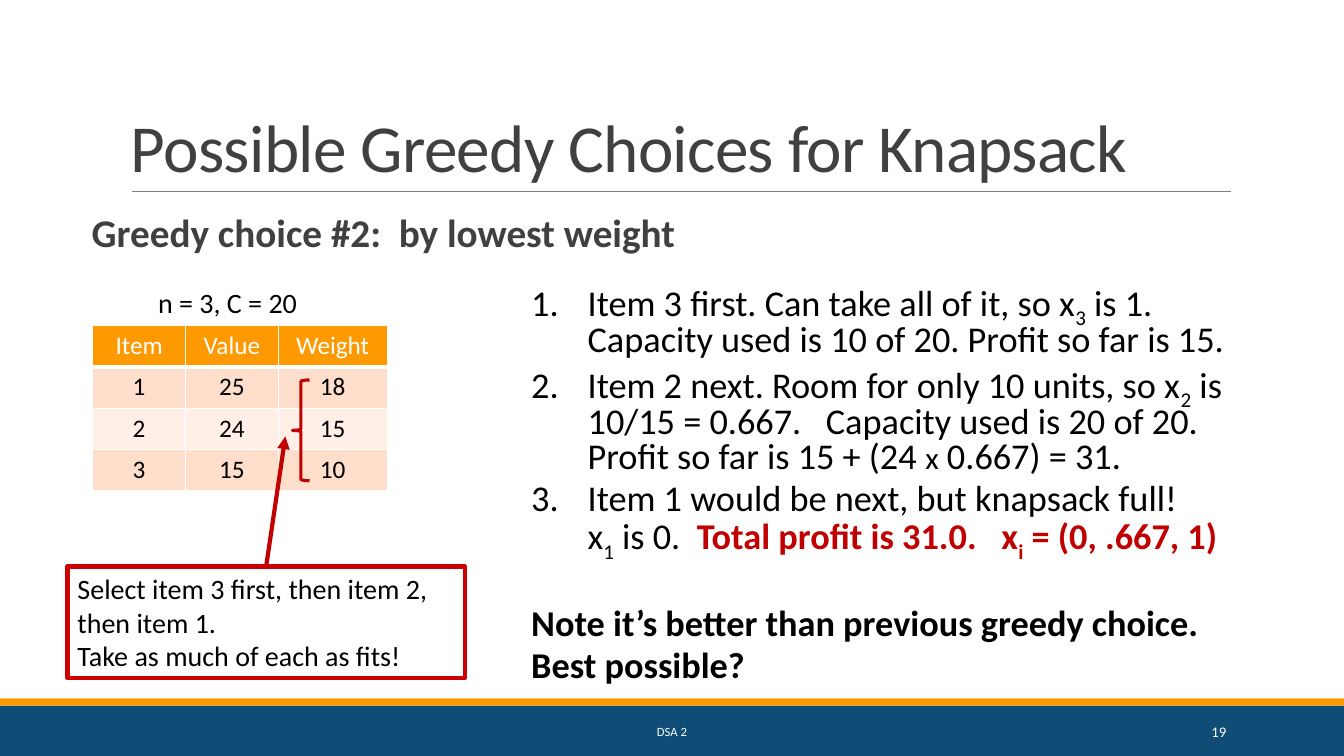
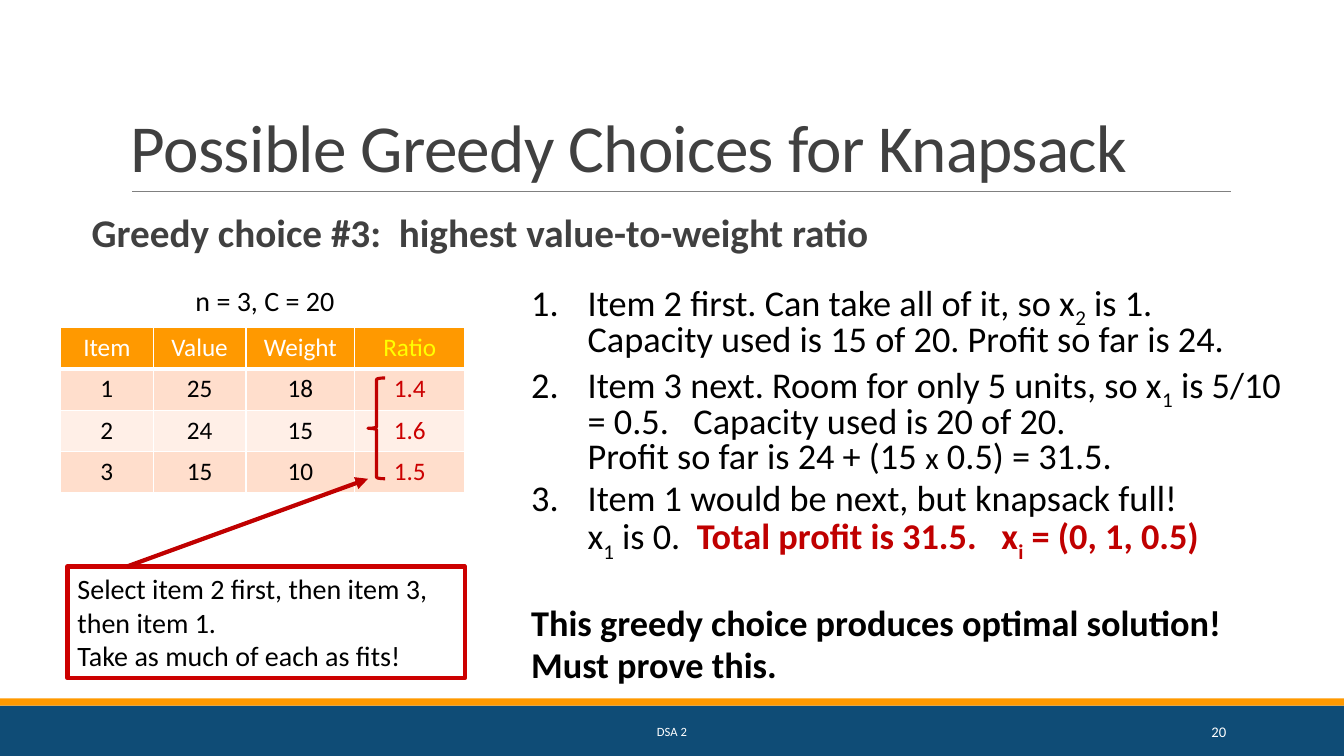
import pptx
import pptx.util
import pptx.dml.color
import pptx.enum.shapes
import pptx.enum.text
import pptx.oxml
import pptx.oxml.ns
import lxml.etree

Inches, Pt = pptx.util.Inches, pptx.util.Pt
RGB = pptx.dml.color.RGBColor.from_string
qn = pptx.oxml.ns.qn
SHAPE = pptx.enum.shapes.MSO_SHAPE
ALIGN = pptx.enum.text.PP_ALIGN
ANCHOR = pptx.enum.text.MSO_ANCHOR

FONT = "Calibri"
COLORS = {
    "navy": "0F4C76", "orange": "FF9900", "rule": "808080", "heading": "404040",
    "black": "000000", "white": "FFFFFF", "yellow": "FFFF00",
    "box": "CC0000", "red": "C00000", "band1": "FFDECC", "band2": "FFEFE7",
}
TITLE = "Possible Greedy Choices for Knapsack"
FOOTER = "DSA 2"
CAPACITY = "n = 3, C = 20"
COLUMN_WIDTHS = [0.92, 0.92, 1.08, 1.09]
ROW_HEIGHT = 0.41
STEP_SIZE = 25.9
INDENT = 0.56

STYLES = {
    "plain": {},
    "sub": {"sub": True},
    "small": {"size": 22.2},
    "red": {"color": "red", "bold": True},
    "redsub": {"color": "red", "bold": True, "sub": True},
}

SLIDES = [
    {
        "number": 19,
        "heading": "Greedy choice #2:  by lowest weight",
        "table": [("Item", "Value", "Weight"), ("1", "25", "18"), ("2", "24", "15"), ("3", "15", "10")],
        "table_at": (0.92, 3.23),
        "capacity_at": (1.47, 2.78),
        "brace_at": (2.9, 3.77),
        "arrow": ((2.64, 5.62), (2.83, 4.33)),
        "arrow_from_middle": True,
        "callout": "Select item 3 first, then item 2, then item 1.\nTake as much of each as fits!",
        "steps": [
            [("Item 3 first. Can take all of it, so x", "plain"), ("3", "sub"),
             (" is 1.\nCapacity used is 10 of 20. Profit so far is 15.", "plain")],
            [("Item 2 next. Room for only 10 units, so x", "plain"), ("2", "sub"),
             (" is 10/15 = 0.667.   Capacity used is 20 of 20.\nProfit so far is 15 + (24 ", "plain"),
             ("x", "small"), (" 0.667) = 31.", "plain")],
            [("Item 1 would be next, but knapsack full!\nx", "plain"), ("1", "sub"), (" is 0.  ", "plain"),
             ("Total profit is 31.0.   x", "red"), ("i", "redsub"), (" = (0, .667, 1)", "red")],
        ],
        "notes": ["Note it’s better than previous greedy choice.", "Best possible?"],
    },
    {
        "number": 20,
        "heading": "Greedy choice #3:  highest value-to-weight ratio",
        "table": [("Item", "Value", "Weight", "Ratio"), ("1", "25", "18", "1.4"),
                  ("2", "24", "15", "1.6"), ("3", "15", "10", "1.5")],
        "table_at": (0.6, 3.25),
        "capacity_at": (1.84, 2.76),
        "brace_at": (3.65, 3.75),
        "arrow": ((1.26, 5.62), (3.65, 4.75)),
        "arrow_from_middle": False,
        "callout": "Select item 2 first, then item 3, then item 1.\nTake as much of each as fits!",
        "steps": [
            [("Item 2 first. Can take all of it, so x", "plain"), ("2", "sub"),
             (" is 1.\nCapacity used is 15 of 20. Profit so far is 24.", "plain")],
            [("Item 3 next. Room for only 5 units, so x", "plain"), ("1", "sub"),
             (" is 5/10 = 0.5.   Capacity used is 20 of 20.\nProfit so far is 24 + (15 ", "plain"),
             ("x", "small"), (" 0.5) = 31.5.", "plain")],
            [("Item 1 would be next, but knapsack full!\nx", "plain"), ("1", "sub"), (" is 0.  ", "plain"),
             ("Total profit is 31.5.   x", "red"), ("i", "redsub"), (" = (0, 1, 0.5)", "red")],
        ],
        "notes": ["This greedy choice produces optimal solution!", "Must prove this."],
    },
]


def set_font(font, size=None, color=None, bold=None):
    font.name = FONT
    if size:
        font.size = Pt(size)
    if color:
        font.color.rgb = RGB(COLORS[color])
    if bold is not None:
        font.bold = bold


def add_text(s, text, box, size, color, bold=None, align=None, anchor=ANCHOR.TOP, wrap=True):
    sp = s.shapes.add_textbox(*map(Inches, box))
    tf = sp.text_frame
    tf.word_wrap = wrap
    tf.vertical_anchor = anchor
    p = tf.paragraphs[0]
    p.text = text
    p.alignment = align
    set_font(p.font, size, color, bold)
    return sp


def add_shape(s, kind, box, fill=None, line=None, width=None):
    sp = s.shapes.add_shape(kind, *map(Inches, box))
    sp.shadow.inherit = False
    if fill:
        sp.fill.solid()
        sp.fill.fore_color.rgb = RGB(COLORS[fill])
    else:
        sp.fill.background()
    if line:
        sp.line.color.rgb = RGB(COLORS[line])
        sp.line.width = Pt(width)
    else:
        sp.line.fill.background()
    return sp


def add_line(s, start, end, color, width):
    cx = s.shapes.add_connector(pptx.enum.shapes.MSO_CONNECTOR.STRAIGHT, *map(Inches, start + end))
    cx.line.color.rgb = RGB(COLORS[color])
    cx.line.width = Pt(width)
    lxml.etree.SubElement(cx._element.spPr, qn("a:effectLst"))
    return cx


def add_frame(s, number, heading):
    add_shape(s, SHAPE.RECTANGLE, (0, 7, 13.33, 0.5), "navy")
    add_shape(s, SHAPE.RECTANGLE, (0, 6.93, 13.33, 0.07), "orange")
    add_line(s, (1.31, 1.9), (12.21, 1.9), "rule", 0.5)
    sp = add_text(s, TITLE, (1.2, 0.31, 11, 1.59), 48, "heading", anchor=ANCHOR.BOTTOM)
    p = sp.text_frame.paragraphs[0]
    p.line_spacing = 0.85
    p.runs[0]._r.get_or_add_rPr().set("spc", "-50")
    sp = add_text(s, heading, (0.91, 2.07, 10.83, 1.55), 28, "heading", bold=True)
    sp.text_frame.margin_left = sp.text_frame.margin_right = 0
    p = sp.text_frame.paragraphs[0]
    p.line_spacing = 0.9
    p.space_before, p.space_after = Pt(12), Pt(2)
    add_text(s, FOOTER, (4.03, 7.06, 5.27, 0.4), 9, "white", align=ALIGN.CENTER, anchor=ANCHOR.MIDDLE)
    add_text(s, str(number), (10.83, 7.06, 1.43, 0.4), 10.5, "white", align=ALIGN.RIGHT, anchor=ANCHOR.MIDDLE)


def set_borders(cell, bottom):
    tcPr = cell._tc.get_or_add_tcPr()
    for side, width in (("L", 1), ("R", 1), ("T", 1), ("B", bottom)):
        ln = lxml.etree.SubElement(tcPr, qn("a:ln" + side), w=str(Pt(width)))
        fill = lxml.etree.SubElement(ln, qn("a:solidFill"))
        lxml.etree.SubElement(fill, qn("a:srgbClr"), val=COLORS["white"])


def add_items_table(s, rows, at):
    widths = COLUMN_WIDTHS[:len(rows[0])]
    size = (sum(widths), ROW_HEIGHT * len(rows))
    table = s.shapes.add_table(len(rows), len(widths), *map(Inches, at + size)).table
    for column, width in zip(table.columns, widths):
        column.width = Inches(width)
    for i, row in enumerate(rows):
        table.rows[i].height = Inches(ROW_HEIGHT)
        for j, text in enumerate(row):
            cell = table.cell(i, j)
            set_borders(cell, 1 if i else 3)
            cell.fill.solid()
            cell.fill.fore_color.rgb = RGB(COLORS["orange" if i == 0 else "band1" if i % 2 else "band2"])
            if rows[0][j] == "Ratio":
                color = "box" if i else "yellow"
            else:
                color = "black" if i else "white"
            p = cell.text_frame.paragraphs[0]
            p.text = text
            p.alignment = ALIGN.CENTER
            set_font(p.font, 18, color, False)


def add_runs(p, segments):
    for text, style in segments:
        look = STYLES[style]
        for i, part in enumerate(text.split("\n")):
            if i:
                p.add_line_break()
            r = p.add_run()
            r.text = part
            set_font(r.font, look.get("size", STEP_SIZE), look.get("color", "black"), look.get("bold"))
            if look.get("sub"):
                r._r.get_or_add_rPr().set("baseline", "-25000")


def add_steps(s, steps, notes):
    tf = s.shapes.add_textbox(*map(Inches, (5.17, 2.78, 7.78, 4.14))).text_frame
    tf.word_wrap = True
    paragraphs = steps + [[(note, "plain")] for note in notes]
    for i, segments in enumerate(paragraphs):
        p = tf.add_paragraph() if i else tf.paragraphs[0]
        p.line_spacing = 0.8
        p.space_before = Pt(36 if i == len(steps) else 5.2)
        set_font(p.font, STEP_SIZE, "black", i >= len(steps))
        add_runs(p, segments)
        if i < len(steps):
            pPr = p._p.get_or_add_pPr()
            pPr.set("marL", str(Inches(INDENT)))
            pPr.set("indent", str(-Inches(INDENT)))
            number = pptx.oxml.parse_xml(
                '<a:buAutoNum xmlns:a="http://schemas.openxmlformats.org/drawingml/2006/main" type="arabicPeriod"/>')
            pPr.find(qn("a:defRPr")).addprevious(number)


def add_callout(s, text):
    sp = add_shape(s, SHAPE.RECTANGLE, (0.67, 5.62, 3.94, 1.11), line="box", width=3)
    tf = sp.text_frame
    tf.word_wrap = True
    tf.vertical_anchor = ANCHOR.TOP
    p = tf.paragraphs[0]
    p.text = text.replace("\n", "\v")
    p.alignment = ALIGN.LEFT
    set_font(p.font, 20, "black")
    return sp


def add_arrow(s, start, end, callout, from_middle):
    cx = add_line(s, start, end, "red", 3)
    if from_middle:
        cx.begin_connect(callout, 0)
    lxml.etree.SubElement(cx.line._get_or_add_ln(), qn("a:tailEnd"), type="triangle")


def main():
    prs = pptx.Presentation()
    prs.slide_width, prs.slide_height = Inches(13.33), Inches(7.5)
    for slide in SLIDES:
        s = prs.slides.add_slide(prs.slide_layouts[6])
        add_frame(s, slide["number"], slide["heading"])
        add_items_table(s, slide["table"], slide["table_at"])
        add_text(s, CAPACITY, slide["capacity_at"] + (1.59, 0.44), 20, "black", wrap=False)
        callout = add_callout(s, slide["callout"])
        add_arrow(s, *slide["arrow"], callout, slide["arrow_from_middle"])
        add_shape(s, SHAPE.LEFT_BRACE, slide["brace_at"] + (0.17, 1), line="red", width=2.25)
        add_steps(s, slide["steps"], slide["notes"])
    prs.save("out.pptx")


if __name__ == "__main__":
    main()
